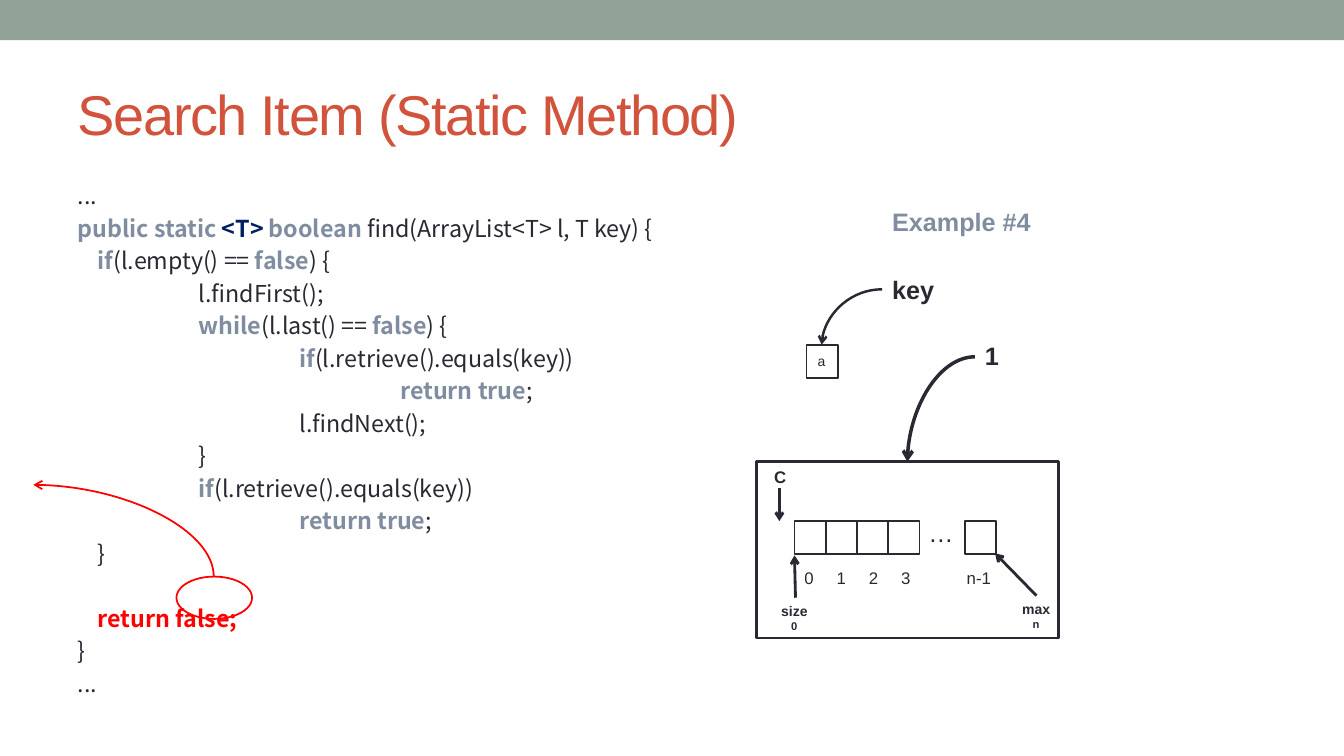
from dataclasses import dataclass
from typing import NamedTuple

from lxml.etree import SubElement
from pptx import Presentation
from pptx.dml.color import RGBColor
from pptx.enum.shapes import MSO_CONNECTOR as Connector, MSO_SHAPE as Preset
from pptx.enum.text import MSO_ANCHOR as Anchor, MSO_AUTO_SIZE as AutoSize, PP_ALIGN as Align
from pptx.oxml.ns import qn
from pptx.util import Inches, Pt

COLORS = {
    "band": "93A299",
    "title": "D2533C",
    "ink": "292934",
    "keyword": "808DA0",
    "generic": "002060",
    "alert": "FF0000",
    "paper": "FFFFFF",
}
CODE_FONT = "Noto Sans CJK SC"
LABEL_FONT = "Arial"


class Run(NamedTuple):
    text: str
    color: str = "ink"


@dataclass
class CodeLine:
    indent: float
    runs: tuple[Run, ...]
    space_before: float = 3.3


@dataclass
class Box:
    left: float
    top: float
    width: float = 0.31
    height: float = 0.33
    line: str | None = "ink"
    weight: float = 1.25
    fill: str | None = None
    preset: Preset = Preset.RECTANGLE


@dataclass
class Label:
    text: str
    left: float
    top: float
    width: float
    height: float
    size: float
    bold: bool = False
    color: str = "ink"
    value: str | None = None


@dataclass
class Arrow:
    begin: tuple[float, float]
    end: tuple[float, float]
    weight: float = 2
    color: str = "ink"
    curved: bool = False
    arrow_end: str = "tailEnd"


def rgb(name: str) -> RGBColor:
    return RGBColor.from_string(COLORS[name])


def style_font(font, name: str, size: float, color: str, bold: bool = False) -> None:
    font.name, font.size, font.bold = name, Pt(size), bold
    font.color.rgb = rgb(color)


def place(shape, left: float, top: float, width: float, height: float) -> None:
    shape.left, shape.top = Inches(left), Inches(top)
    shape.width, shape.height = Inches(width), Inches(height)


def draw_box(slide, box: Box) -> None:
    shape = slide.shapes.add_shape(
        box.preset, Inches(box.left), Inches(box.top), Inches(box.width), Inches(box.height))
    shape.shadow.inherit = False
    if box.fill:
        shape.fill.solid()
        shape.fill.fore_color.rgb = rgb(box.fill)
    else:
        shape.fill.background()
    if box.line:
        shape.line.color.rgb = rgb(box.line)
        shape.line.width = Pt(box.weight)
    else:
        shape.line.fill.background()


def draw_label(slide, label: Label) -> None:
    frame = slide.shapes.add_textbox(
        Inches(label.left), Inches(label.top), Inches(label.width), Inches(label.height)).text_frame
    frame.word_wrap = False
    frame.auto_size = AutoSize.SHAPE_TO_FIT_TEXT
    paragraph = frame.paragraphs[0]
    paragraph.text = label.text
    style_font(paragraph.font, LABEL_FONT, label.size, label.color, label.bold)
    if label.value:
        paragraph = frame.add_paragraph()
        paragraph.text = label.value
        paragraph.alignment = Align.CENTER
        style_font(paragraph.font, LABEL_FONT, 8, label.color, label.bold)


def draw_arrow(slide, arrow: Arrow) -> None:
    kind = Connector.CURVE if arrow.curved else Connector.STRAIGHT
    points = [Inches(value) for value in (*arrow.begin, *arrow.end)]
    connector = slide.shapes.add_connector(kind, *points)
    connector.line.color.rgb = rgb(arrow.color)
    connector.line.width = Pt(arrow.weight)
    properties = connector._element.spPr
    if arrow.curved:
        properties.find(qn("a:prstGeom")).set("prst", "curvedConnector2")
    SubElement(properties.find(qn("a:ln")), qn(f"a:{arrow.arrow_end}"), type="arrow")
    SubElement(properties, qn("a:effectLst"))


def write_code(frame, lines: list[CodeLine]) -> None:
    frame.auto_size = AutoSize.NONE
    frame.vertical_anchor = Anchor.TOP
    for index, line in enumerate(lines):
        paragraph = frame.add_paragraph() if index else frame.paragraphs[0]
        paragraph.line_spacing = 1.0
        paragraph.space_before = Pt(line.space_before)
        properties = paragraph._p.get_or_add_pPr()
        properties.set("marL", str(Inches(line.indent)))
        properties.set("indent", "0")
        SubElement(properties, qn("a:buNone"))
        for text, color in line.runs:
            run = paragraph.add_run()
            run.text = text
            style_font(run.font, CODE_FONT, 16.6, color, color != "ink")


IF, FALSE = Run("if", "keyword"), Run("false", "keyword")
RETURN_TRUE = (Run("return true", "keyword"), Run(";"))
IF_EQUALS = (IF, Run("(l.retrieve().equals(key))"))
CODE = [
    CodeLine(0, (Run("..."),)),
    CodeLine(0, (Run("public static ", "keyword"), Run("<T> ", "generic"),
                 Run("boolean ", "keyword"), Run("find(ArrayList<T> l, T key) {"))),
    CodeLine(0.2, (IF, Run("(l.empty() == "), FALSE, Run(") {"))),
    CodeLine(1.2, (Run("l.findFirst();"),)),
    CodeLine(1.2, (Run("while", "keyword"), Run("(l.last() == "), FALSE, Run(") {"))),
    CodeLine(2.2, IF_EQUALS),
    CodeLine(3.2, RETURN_TRUE),
    CodeLine(2.2, (Run("l.findNext();"),)),
    CodeLine(1.2, (Run("}"),)),
    CodeLine(1.2, IF_EQUALS),
    CodeLine(2.2, RETURN_TRUE),
    CodeLine(0.2, (Run("}"),)),
    CodeLine(0.2, (Run("return false;", "alert"),), space_before=26.5),
    CodeLine(0, (Run("}"),)),
    CodeLine(0, (Run("..."),)),
]
ARRAY_LEFT, ARRAY_TOP = 7.88, 5.17
BOXES = [
    Box(0, 0, 13.33, 0.4, line=None, fill="band"),
    *(Box(ARRAY_LEFT + 0.31 * index, ARRAY_TOP) for index in range(4)),
    Box(9.57, ARRAY_TOP, fill="paper"),
    Box(7.5, 4.58, 3, 1.75, weight=2),
    Box(8, 3.42),
    Box(1.75, 5.72, 0.75, 0.42, line="alert", preset=Preset.OVAL),
]
LABELS = [
    *(Label(str(index), ARRAY_LEFT + 0.32 * index, 5.58, 0.29, 0.3, 12) for index in range(4)),
    Label("n-1", 9.49, 5.58, 0.44, 0.3, 12),
    Label("…", 9.11, 5.08, 0.45, 0.4, 18),
    Label("C", 7.58, 4.58, 0.32, 0.3, 12, True),
    Label("size", 7.65, 5.93, 0.47, 0.4, 10, True, value="0"),
    Label("max", 10.04, 5.91, 0.5, 0.4, 10, True, value="n"),
    Label("1", 9.67, 3.33, 0.34, 0.4, 18, True),
    Label("key", 8.75, 2.67, 0.62, 0.4, 18, True),
    Label("a", 8.01, 3.45, 0.29, 0.27, 10),
    Label("Example #4", 8.75, 2, 1.64, 0.4, 18, True, "keyword"),
]
ARROWS = [
    Arrow((7.73, 4.84), (7.73, 5.17)),
    Arrow((7.89, 5.93), (7.88, 5.51)),
    Arrow((10.28, 5.91), (9.87, 5.49)),
    Arrow((9.67, 3.54), (9, 4.58), 2.5, curved=True),
    Arrow((8.75, 2.87), (8.15, 3.42), 1.75, curved=True),
    Arrow((0.33, 4.81), (2.12, 5.72), 1.25, "alert", curved=True, arrow_end="headEnd"),
]

presentation = Presentation()
presentation.slide_width, presentation.slide_height = Inches(13.33), Inches(7.5)
slide = presentation.slides.add_slide(presentation.slide_layouts[1])

title, body = slide.shapes.title, slide.placeholders[1]
place(title, 0.67, 0.58, 12, 1.08)
title.text_frame.text = "Search Item (Static Method)"
title.text_frame.vertical_anchor = Anchor.MIDDLE
title.text_frame.auto_size = AutoSize.NONE
heading = title.text_frame.paragraphs[0]
heading.alignment = Align.LEFT
style_font(heading.font, LABEL_FONT, 40, "title")
heading.runs[0]._r.get_or_add_rPr().set("spc", "-100")

place(body, 0.67, 1.75, 12, 5.33)
write_code(body.text_frame, CODE)

for box in BOXES:
    draw_box(slide, box)
for label in LABELS:
    draw_label(slide, label)
for arrow in ARROWS:
    draw_arrow(slide, arrow)

presentation.save("out.pptx")
